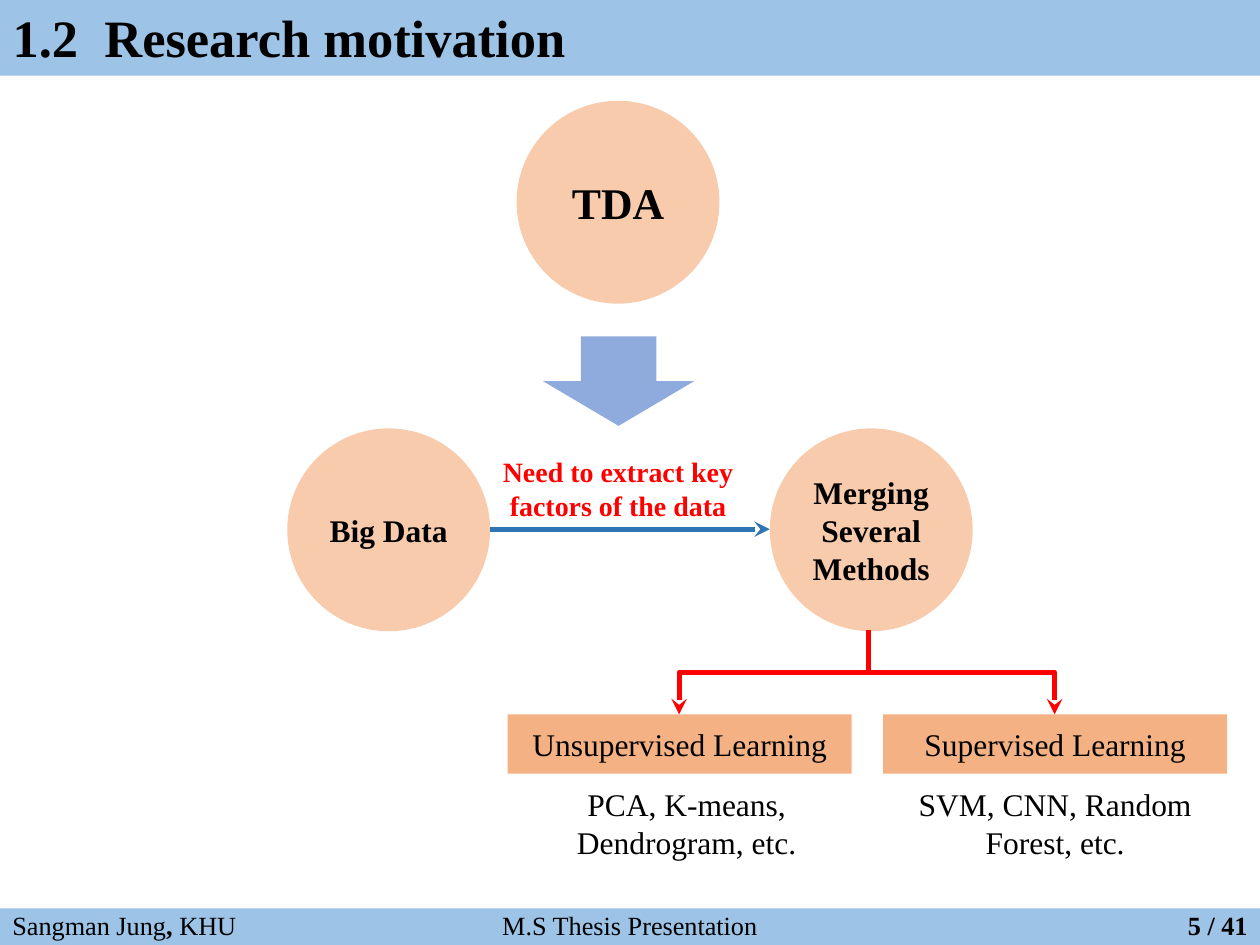
from dataclasses import dataclass
from typing import NamedTuple

from lxml.etree import SubElement
from pptx import Presentation
from pptx.dml.color import RGBColor
from pptx.enum.shapes import MSO_CONNECTOR as Link, MSO_SHAPE as Preset
from pptx.enum.text import MSO_ANCHOR as Anchor, MSO_AUTO_SIZE as Fit, PP_ALIGN as Align
from pptx.oxml.ns import qn
from pptx.util import Inches, Pt


@dataclass(frozen=True)
class Theme:
    font: str = "Times New Roman"
    ink: str = "000000"
    alert: str = "FF0000"
    band: str = "9DC3E6"
    topic: str = "F8CBAD"
    branch: str = "F4B183"
    block_arrow: str = "8FAADC"
    flow: str = "2E75B6"
    title_size: int = 30
    hub_size: int = 25
    body_size: int = 18
    note_size: int = 16
    footer_size: int = 15
    line_width: int = 3


class Area(NamedTuple):
    column: float
    row: float
    columns: float
    rows: float


class Point(NamedTuple):
    column: float
    row: float


@dataclass(frozen=True)
class Topic:
    text: str
    column: float
    row: float
    size: int


@dataclass(frozen=True)
class Branch:
    heading: str
    examples: str
    column: float
    examples_columns: float
    arrow_column: float


THEME = Theme()
COLUMNS, ROWS = 100, 75
DIAMETER = 16.1
FLOW_ROW = 42
BRANCH_ROW, BRANCH_COLUMNS, BRANCH_ROWS = 56.7, 27.3, 4.7
FORK = Point(68.9, 50)
FOOTER_TEXT_ROW, FOOTER_TEXT_ROWS = 71.7, 3.5

HUB = Topic("TDA", 41, 8, THEME.hub_size)
SOURCE = Topic("Big Data", 22.8, 34, THEME.body_size)
GOAL = Topic("Merging\nSeveral\nMethods", 61.1, 34, THEME.body_size)
BRANCHES = (
    Branch("Unsupervised Learning", "PCA, K-means, Dendrogram, etc.", 40.3, 28.4, 53.9),
    Branch("Supervised Learning", "SVM, CNN, Random Forest, etc.", 70.1, 27.3, 83.7),
)

deck = Presentation()
deck.slide_width, deck.slide_height = Inches(10), Inches(7.5)
slide = deck.slides.add_slide(deck.slide_layouts[5])


def across(columns: float) -> int:
    return round(deck.slide_width * columns / COLUMNS)


def down(rows: float) -> int:
    return round(deck.slide_height * rows / ROWS)


def place(area: Area) -> tuple[int, int, int, int]:
    return across(area.column), down(area.row), across(area.columns), down(area.rows)


def write(shape, text: str, *, size: int, color: str = THEME.ink, bold: bool = False,
          align: Align = Align.CENTER, anchor: Anchor = Anchor.MIDDLE,
          fit: Fit = Fit.NONE, spacing: float = 1.0) -> None:
    """Fill a shape with text; parts between bars switch the bold setting."""
    frame = shape.text_frame
    frame.word_wrap, frame.auto_size, frame.vertical_anchor = True, fit, anchor
    for number, line in enumerate(text.split("\n")):
        paragraph = frame.add_paragraph() if number else frame.paragraphs[0]
        paragraph.alignment, paragraph.line_spacing = align, spacing
        for position, part in enumerate(line.split("|")):
            run = paragraph.add_run()
            run.text = part
            run.font.name, run.font.size = THEME.font, Pt(size)
            run.font.bold = bold != bool(position % 2)
            run.font.color.rgb = RGBColor.from_string(color)


def draw_shape(preset: Preset, area: Area, color: str):
    shape = slide.shapes.add_shape(preset, *place(area))
    shape.shadow.inherit = False
    shape.fill.solid()
    shape.fill.fore_color.rgb = RGBColor.from_string(color)
    shape.line.fill.background()
    return shape


def draw_label(area: Area, text: str, **style) -> None:
    write(slide.shapes.add_textbox(*place(area)), text,
          anchor=Anchor.TOP, fit=Fit.SHAPE_TO_FIT_TEXT, **style)


def draw_topic(topic: Topic) -> None:
    circle = draw_shape(Preset.OVAL, Area(topic.column, topic.row, DIAMETER, DIAMETER),
                        THEME.topic)
    write(circle, topic.text, size=topic.size, bold=True)


def draw_arrow(kind: Link, start: Point, end: Point, color: str):
    arrow = slide.shapes.add_connector(kind, across(start.column), down(start.row),
                                       across(end.column), down(end.row))
    arrow.line.width = Pt(THEME.line_width)
    arrow.line.color.rgb = RGBColor.from_string(color)
    SubElement(arrow.line._get_or_add_ln(), qn("a:tailEnd"), type="stealth")
    SubElement(arrow._element.spPr, qn("a:effectLst"))
    return arrow


def draw_fork_arrow(start: Point, end: Point) -> None:
    middle = Point((start.column + end.column) / 2, (start.row + end.row) / 2)
    half_length = (end.row - start.row) / 2
    half_spread = abs(end.column - start.column) / 2
    side = 1 if end.column > start.column else -1
    arrow = draw_arrow(
        Link.ELBOW,
        Point(middle.column + side * half_length, middle.row - half_spread),
        Point(middle.column - side * half_length, middle.row + half_spread),
        THEME.alert)
    degrees = 270 if side > 0 else 90
    arrow._element.spPr.find(qn("a:xfrm")).set("rot", str(degrees * 60000))


def draw_branch(branch: Branch) -> None:
    heading = draw_shape(Preset.RECTANGLE,
                         Area(branch.column, BRANCH_ROW, BRANCH_COLUMNS, BRANCH_ROWS),
                         THEME.branch)
    write(heading, branch.heading, size=THEME.body_size)
    draw_fork_arrow(FORK, Point(branch.arrow_column, BRANCH_ROW))
    draw_label(Area(branch.column, 61.8, branch.examples_columns, 4),
               branch.examples, size=THEME.body_size)


def draw_header() -> None:
    header = Area(0, 0, COLUMNS, 6)
    draw_shape(Preset.RECTANGLE, header, THEME.band)
    title = slide.shapes.title
    title.element.getparent().append(title.element)
    title.left, title.top, title.width, title.height = place(header)
    write(title, "1.2  Research motivation", size=THEME.title_size, bold=True,
          align=Align.LEFT, anchor=Anchor.BOTTOM, spacing=0.9)


def draw_footer() -> None:
    draw_shape(Preset.RECTANGLE, Area(0, 72.1, COLUMNS, 2.9), THEME.band)
    for column, columns, text, align, bold in (
        (0, COLUMNS, "M.S Thesis Presentation", Align.CENTER, False),
        (0, 23.6, "Sangman Jung|, |KHU", Align.LEFT, False),
        (91.5, 8.5, "5 / 41", Align.RIGHT, True),
    ):
        draw_label(Area(column, FOOTER_TEXT_ROW, columns, FOOTER_TEXT_ROWS), text,
                   size=THEME.footer_size, align=align, bold=bold)


def main() -> None:
    draw_footer()
    draw_header()
    for topic in (SOURCE, GOAL, HUB):
        draw_topic(topic)
    draw_arrow(Link.STRAIGHT, Point(SOURCE.column + DIAMETER, FLOW_ROW),
               Point(GOAL.column, FLOW_ROW), THEME.flow)
    draw_label(Area(38, 35.6, 22.1, 6.4), "Need to extract key factors of the data",
               size=THEME.note_size, color=THEME.alert, bold=True)
    for branch in BRANCHES:
        draw_branch(branch)
    draw_shape(Preset.DOWN_ARROW, Area(43.1, 26.7, 12, 7.1), THEME.block_arrow)
    deck.save("out.pptx")


if __name__ == "__main__":
    main()
